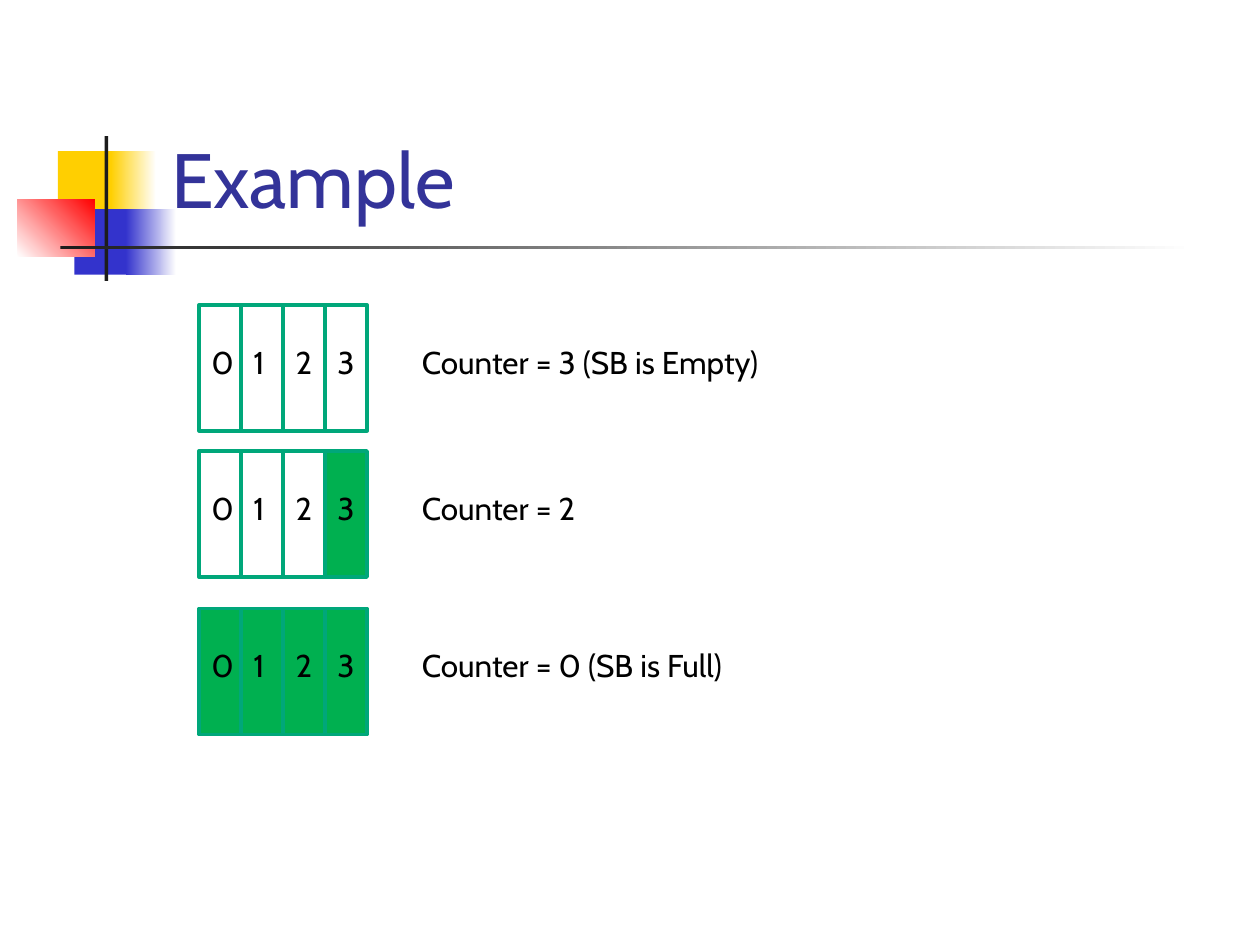
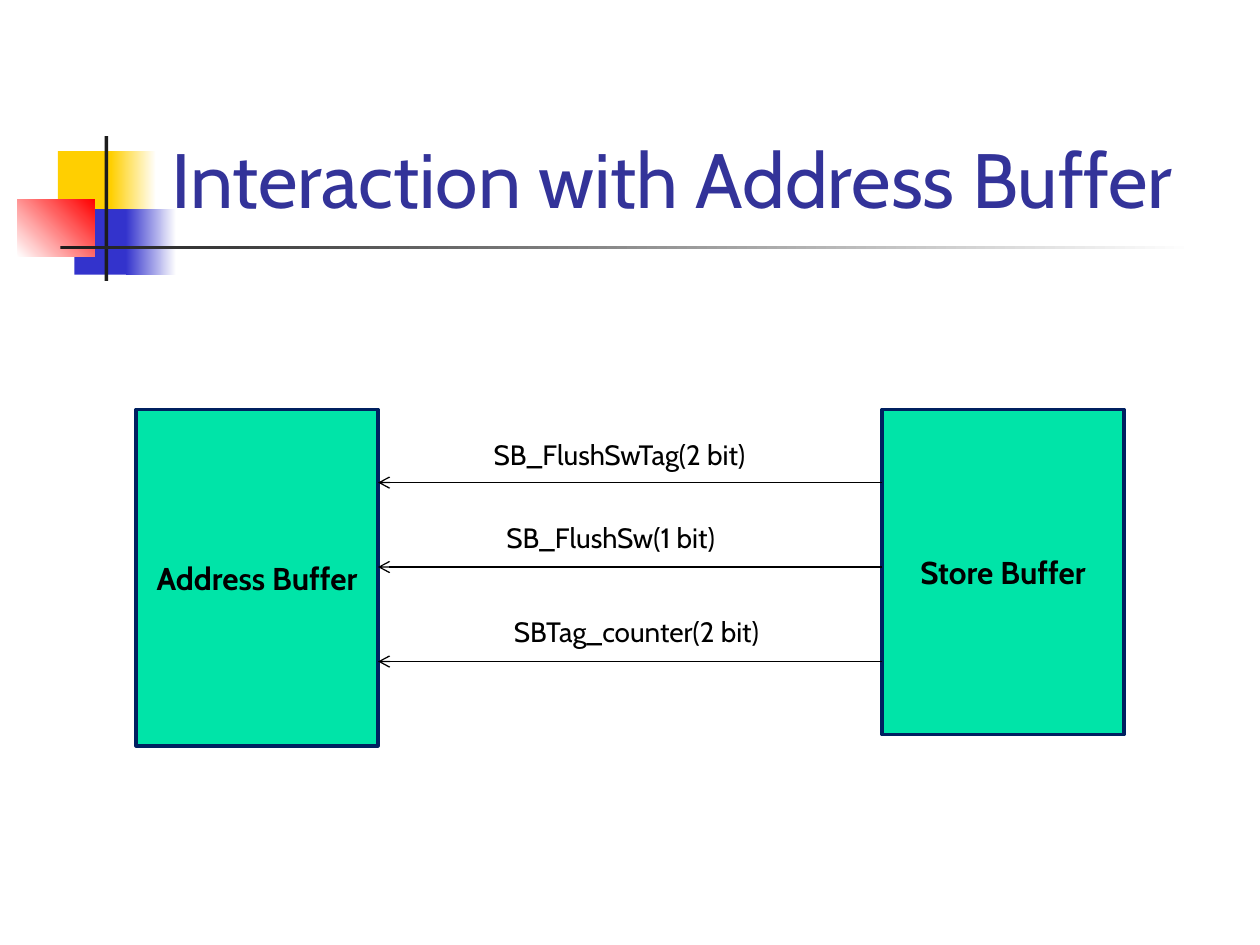
from dataclasses import dataclass
from typing import Any, Optional

import pptx
import pptx.dml.color
import pptx.enum.shapes
import pptx.enum.text
import pptx.oxml.ns
import pptx.util
from lxml import etree

Inches = pptx.util.Inches
Anchor = pptx.enum.text.MSO_ANCHOR
Align = pptx.enum.text.PP_ALIGN
AutoSize = pptx.enum.text.MSO_AUTO_SIZE


@dataclass(frozen=True)
class Theme:
    font: str = "Cabin"
    white: str = "FFFFFF"
    ink: str = "000000"
    title: str = "333399"
    yellow: str = "FFCF01"
    blue: str = "3333CC"
    red: str = "FF0000"
    rule: str = "1C1C1C"
    slot_edge: str = "00A77A"
    slot_used: str = "00B050"
    unit: str = "00E4A8"
    unit_edge: str = "002060"
    title_size: int = 44
    body_size: int = 18
    signal_size: int = 16
    edge_width: float = 2
    arrow_width: float = 0.75


THEME = Theme()


@dataclass(frozen=True)
class Box:
    left: float
    top: float
    width: float
    height: float

    def lengths(self) -> list[int]:
        return [Inches(v) for v in (self.left, self.top, self.width, self.height)]


@dataclass(frozen=True)
class Block:
    """A rectangle; a second colour fades the first into it."""
    box: Box
    fill: Optional[str] = None
    fade_to: Optional[str] = None
    angle: int = 0
    edge: Optional[str] = None


@dataclass(frozen=True)
class BufferState:
    top: float
    used_slots: int
    caption: str


@dataclass(frozen=True)
class Unit:
    block: Block
    name: str


@dataclass(frozen=True)
class Signal:
    label: str
    label_box: Box
    arrow_y: float


# Shared motif beside the title
MOTIF = [
    Block(Box(0.46, 1.2, 0.48, 0.52), THEME.yellow),
    Block(Box(0.88, 1.2, 0.36, 0.52), THEME.yellow, THEME.white),
    Block(Box(0.59, 1.66, 0.46, 0.52), THEME.blue),
    Block(Box(1, 1.66, 0.4, 0.52), THEME.blue, THEME.white),
    Block(Box(0.14, 1.58, 0.61, 0.46), THEME.white, THEME.red, 45),
    Block(Box(0.83, 1.08, 0.03, 1.15), THEME.rule),
    Block(Box(0.48, 1.95, 9, 0.03), THEME.rule, THEME.white),
]
TITLE_BOX = Box(1.26, 0.23, 8.52, 1.6)

# Store buffer states
SLOT_COUNT = 4
SLOT_LEFT = 1.58
SLOT_WIDTH = 1 / 3
SLOT_HEIGHT = 1
TEXT_DROP = 0.25
TEXT_HEIGHT = 0.4
STATES = [
    BufferState(2.42, 0, "Counter = 3 (SB is Empty)"),
    BufferState(3.58, 1, "Counter = 2"),
    BufferState(4.83, 4, "Counter = 0 (SB is Full)"),
]

# Units and the signals between them
ADDRESS_BUFFER = Unit(
    Block(Box(1.08, 3.25, 1.92, 2.67), THEME.unit, edge=THEME.unit_edge), "Address Buffer")
STORE_BUFFER = Unit(
    Block(Box(7, 3.25, 1.92, 2.58), THEME.unit, edge=THEME.unit_edge), "Store Buffer")
SIGNALS = [
    Signal("SB_FlushSwTag(2 bit)", Box(3.82, 3.42, 2.39, 0.37), 3.83),
    Signal("SB_FlushSw(1 bit)", Box(3.92, 4.08, 2.06, 0.37), 4.5),
    Signal("SBTag_counter(2 bit)", Box(3.98, 4.83, 2.41, 0.37), 5.25),
]


def rgb(code: str) -> pptx.dml.color.RGBColor:
    return pptx.dml.color.RGBColor.from_string(code)


def apply(target: Any, values: dict[str, Any]) -> None:
    for attribute, value in values.items():
        setattr(target, attribute, value)


def write(frame: Any, text: str, size: int, color: str = THEME.ink, bold: bool = False,
          align: Any = Align.LEFT, **frame_format: Any) -> None:
    apply(frame, {"word_wrap": True, **frame_format})
    paragraph = frame.paragraphs[0]
    paragraph.alignment = align
    run = paragraph.add_run()
    run.text = text
    apply(run.font, {"name": THEME.font, "size": pptx.util.Pt(size), "bold": bold})
    run.font.color.rgb = rgb(color)


def add_label(slide: Any, box: Box, text: str, size: int, **text_format: Any) -> None:
    frame = slide.shapes.add_textbox(*box.lengths()).text_frame
    write(frame, text, size, **text_format)


def add_block(slide: Any, block: Block) -> Any:
    shape = slide.shapes.add_shape(
        pptx.enum.shapes.MSO_SHAPE.RECTANGLE, *block.box.lengths())
    shape.shadow.inherit = False
    if block.fade_to:
        shape.fill.gradient()
        shape.fill.gradient_angle = block.angle
        for stop, color in zip(shape.fill.gradient_stops, (block.fill, block.fade_to)):
            stop.color.rgb = rgb(color)
    elif block.fill:
        shape.fill.solid()
        shape.fill.fore_color.rgb = rgb(block.fill)
    else:
        shape.fill.background()
    if block.edge:
        shape.line.color.rgb = rgb(block.edge)
        shape.line.width = pptx.util.Pt(THEME.edge_width)
    else:
        shape.line.fill.background()
    return shape


def add_arrow(slide: Any, start_x: float, end_x: float, y: float) -> None:
    arrow = slide.shapes.add_connector(
        pptx.enum.shapes.MSO_CONNECTOR.STRAIGHT,
        Inches(start_x), Inches(y), Inches(end_x), Inches(y))
    arrow.line.color.rgb = rgb(THEME.ink)
    arrow.line.width = pptx.util.Pt(THEME.arrow_width)
    qn = pptx.oxml.ns.qn
    etree.SubElement(arrow.line._get_or_add_ln(), qn("a:tailEnd"), type="arrow")
    etree.SubElement(arrow._element.spPr, qn("a:effectLst"))


def add_titled_slide(deck: Any, title: str) -> Any:
    slide = deck.slides.add_slide(deck.slide_layouts[6])
    for block in MOTIF:
        add_block(slide, block)
    add_label(slide, TITLE_BOX, title, THEME.title_size, color=THEME.title,
              vertical_anchor=Anchor.BOTTOM)
    return slide


def add_buffer_state(slide: Any, state: BufferState) -> None:
    first_used = SLOT_COUNT - state.used_slots
    text_top = state.top + TEXT_DROP
    lefts = [SLOT_LEFT + i * SLOT_WIDTH for i in range(SLOT_COUNT)]
    for i, left in enumerate(lefts):
        add_block(slide, Block(Box(left, state.top, SLOT_WIDTH, SLOT_HEIGHT),
                               THEME.slot_used if i >= first_used else None,
                               edge=THEME.slot_edge))
    for i, left in reversed(list(enumerate(lefts))):
        add_label(slide, Box(left, text_top, SLOT_WIDTH, TEXT_HEIGHT), str(i),
                  THEME.body_size, auto_size=AutoSize.SHAPE_TO_FIT_TEXT)
    add_label(slide, Box(3.25, text_top, 3.33, TEXT_HEIGHT), state.caption,
              THEME.body_size, auto_size=AutoSize.SHAPE_TO_FIT_TEXT)


def build_example(deck: Any) -> None:
    slide = add_titled_slide(deck, "Example")
    for state in STATES:
        add_buffer_state(slide, state)


def build_interaction(deck: Any) -> None:
    slide = add_titled_slide(deck, "Interaction with Address Buffer")
    for unit in (ADDRESS_BUFFER, STORE_BUFFER):
        write(add_block(slide, unit.block).text_frame, unit.name, THEME.body_size,
              bold=True, align=Align.CENTER, vertical_anchor=Anchor.MIDDLE)
    target = ADDRESS_BUFFER.block.box
    for signal in SIGNALS:
        add_label(slide, signal.label_box, signal.label, THEME.signal_size,
                  word_wrap=False, auto_size=AutoSize.SHAPE_TO_FIT_TEXT)
        add_arrow(slide, STORE_BUFFER.block.box.left, target.left + target.width,
                  signal.arrow_y)


def main() -> None:
    deck = pptx.Presentation()
    apply(deck, {"slide_width": Inches(10), "slide_height": Inches(7.5)})
    build_example(deck)
    build_interaction(deck)
    deck.save("out.pptx")


if __name__ == "__main__":
    main()
